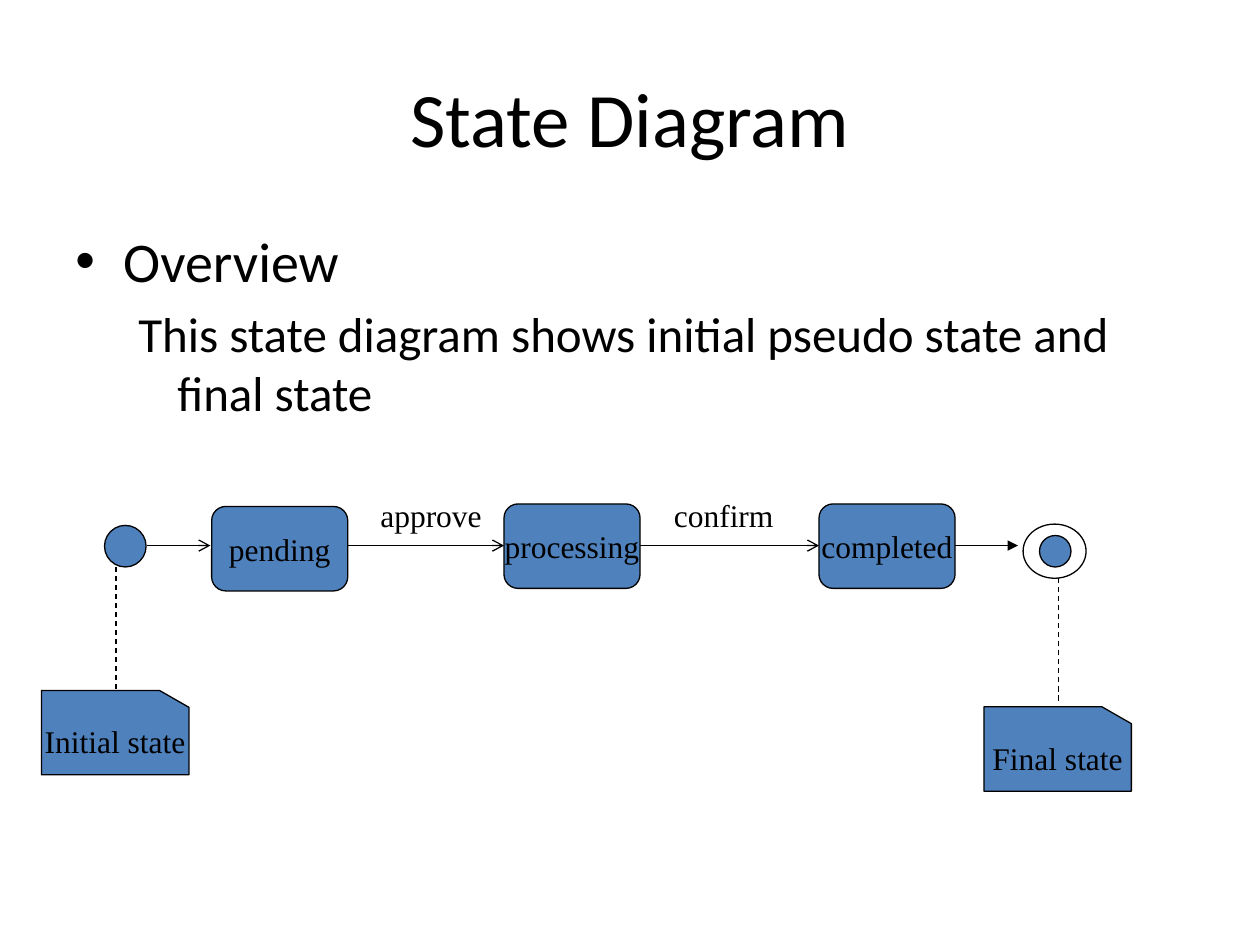
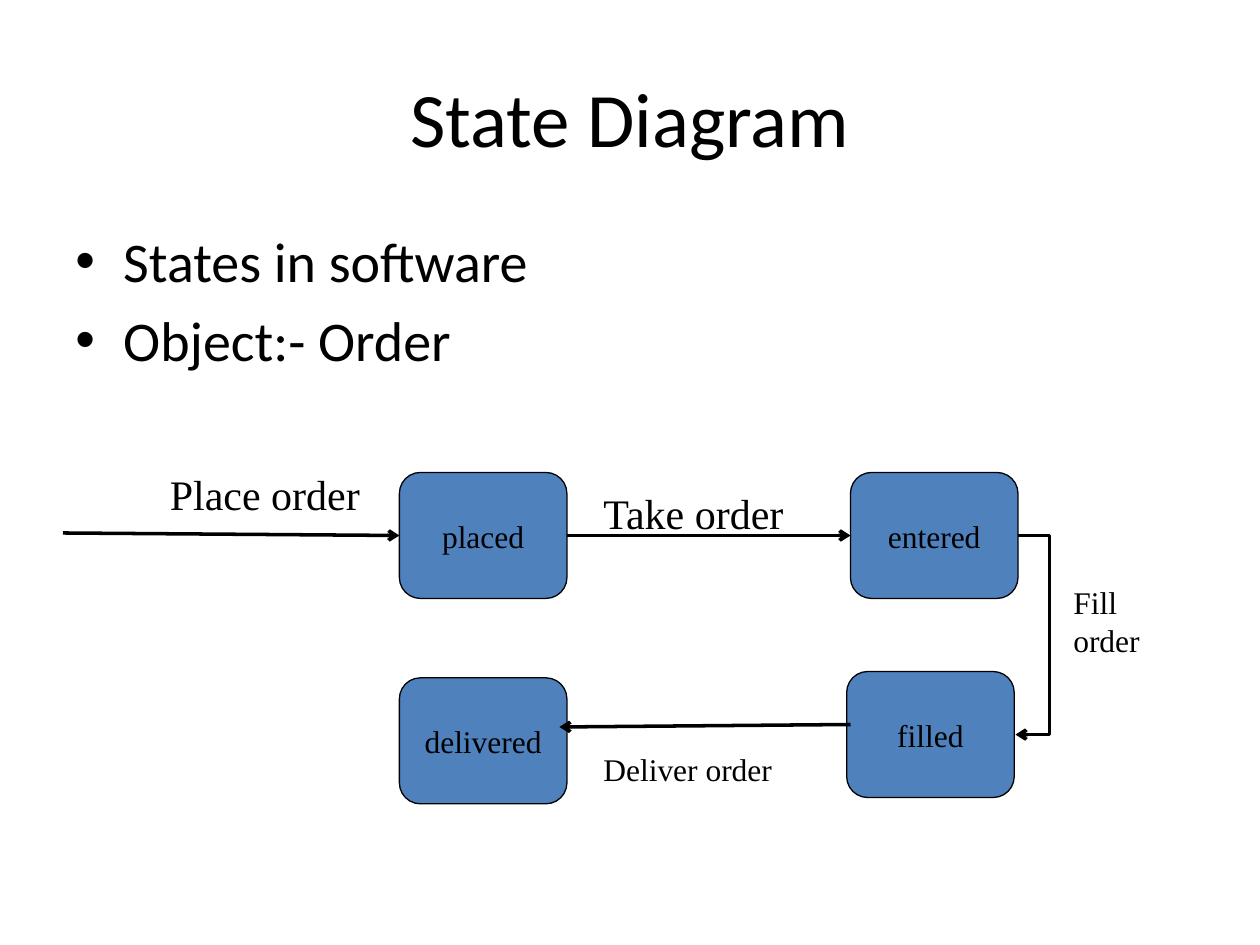
from lxml import etree
from pptx import Presentation, util as u
from pptx.dml.color import RGBColor
from pptx.enum import dml, shapes, text
from pptx.oxml import ns

INK = {"black": "000000", "blue": "4F81BD"}
SANS, SERIF = "Calibri", "Times New Roman"
KIND = shapes.MSO_SHAPE
LEFT, MID = text.PP_ALIGN.LEFT, text.PP_ALIGN.CENTER


def write(frame, words, size=18, font=SERIF, align=LEFT, wrap=True,
          anchor=text.MSO_ANCHOR.TOP, more=False):
    """Put one paragraph into a text frame and return it."""
    frame.word_wrap = wrap
    frame.vertical_anchor = anchor
    para = frame.add_paragraph() if more else frame.paragraphs[0]
    para.alignment = align
    run = para.add_run()
    run.text = words
    run.font.size = u.Pt(size)
    run.font.name = font
    run.font.color.rgb = RGBColor.from_string(INK["black"])
    return para


def link(slide, x1, y1, x2, y2, width=0.75, head="arrow", dash=False, bend=None):
    """Draw a black line; bend is the elbow's adjustment as a ratio."""
    kind = shapes.MSO_CONNECTOR.STRAIGHT if bend is None else shapes.MSO_CONNECTOR.ELBOW
    line = slide.shapes.add_connector(kind, *map(u.Inches, (x1, y1, x2, y2)))
    line.line.width = u.Pt(width)
    line.line.color.rgb = RGBColor.from_string(INK["black"])
    if dash:
        line.line.dash_style = dml.MSO_LINE.DASH
    props = line.element.spPr
    if head:
        etree.SubElement(props.find(ns.qn("a:ln")), ns.qn("a:tailEnd"), type=head)
    if bend is not None:
        guides = props.find(ns.qn("a:prstGeom")).find(ns.qn("a:avLst"))
        etree.SubElement(guides, ns.qn("a:gd"), name="adj1",
                         fmla=f"val {round(bend * 100000)}")
    etree.SubElement(props, ns.qn("a:effectLst"))


deck = Presentation()
deck.slide_width, deck.slide_height = u.Inches(10), u.Inches(7.5)

# Body lines: words, level
bodies = [
    [("Overview", 0),
     ("This state diagram shows initial pseudo state and final state", 1)],
    [("States in software", 0), ("Object:- Order", 0)],
]

# Shapes: kind, left, top, width, height, words, fill
STATE, CARD = KIND.FLOWCHART_ALTERNATE_PROCESS, KIND.FLOWCHART_CARD
nodes = [
    [(KIND.OVAL, 0.83, 4.17, 0.33, 0.33, "", "blue")]
    + [(STATE, x, y, 1.08, 0.67, name, "blue") for x, y, name in
       [(1.68, 4.02, "pending"), (4, 4, "processing"), (6.5, 4, "completed")]]
    + [(KIND.FLOWCHART_CONNECTOR, 8.25, 4.25, 0.25, 0.25, "", "blue"),
       (KIND.OVAL, 8.12, 4.16, 0.5, 0.43, "", None),
       (CARD, 0.33, 5.48, 1.17, 0.67, "Initial state", "blue"),
       (CARD, 7.81, 5.61, 1.17, 0.67, "Final state", "blue")],
    [(STATE, x, y, 1.33, 1, name, "blue") for x, y, name in
     [(3.17, 3.75, "placed"), (6.72, 5.33, "filled"),
      (6.75, 3.75, "entered"), (3.17, 5.38, "delivered")]],
]

# Event labels: words, left, top, width, height, size
labels = [
    [("approve", 2.92, 3.89, 1.08, 0.4, 18),
     ("confirm", 5.25, 3.89, 1.17, 0.4, 18)],
    [("Place order", 1.25, 3.67, 2, 0.5, 24),
     ("Take order", 4.69, 3.82, 2.14, 0.5, 24),
     ("Fill order", 8.42, 4.58, 1.1, 0.7, 18),
     ("Deliver order", 4.69, 5.9, 1.82, 0.4, 18)],
]

pages = []
for body, group, events in zip(bodies, nodes, labels):
    slide = deck.slides.add_slide(deck.slide_layouts[5])
    pages.append(slide)

    # Title
    title = slide.shapes.title
    title.left, title.top, title.width, title.height = map(u.Inches, (0.5, 0.3, 9, 1.25))
    write(title.text_frame, "State Diagram", size=44, font=SANS, align=MID,
          anchor=text.MSO_ANCHOR.MIDDLE)

    # Body text
    box = slide.shapes.add_textbox(*map(u.Inches, (0.5, 1.75, 9, 4.95)))
    for row, (words, level) in enumerate(body):
        size, left, hang = [(32, 0.38, 0.38), (28, 0.81, 0.31)][level]
        para = write(box.text_frame, words, size=size, font=SANS, more=row > 0)
        para.level = level
        para.space_before = u.Pt(size * 0.2)
        props = para._p.get_or_add_pPr()
        props.set("marL", str(u.Inches(left)))
        props.set("indent", str(-u.Inches(hang)))
        if level == 0:
            etree.SubElement(props, ns.qn("a:buFont"), typeface="Arial")
            etree.SubElement(props, ns.qn("a:buChar"), char="•")

    # States, end points and note cards
    for kind, x, y, w, h, words, fill in group:
        node = slide.shapes.add_shape(kind, *map(u.Inches, (x, y, w, h)))
        node.shadow.inherit = False
        node.line.width = u.Pt(0.75)
        node.line.color.rgb = RGBColor.from_string(INK["black"])
        if fill:
            node.fill.solid()
            node.fill.fore_color.rgb = RGBColor.from_string(INK[fill])
        else:
            node.fill.background()
        if kind == CARD:
            node.element.spPr.find(ns.qn("a:xfrm")).set("flipH", "1")
        if words:
            write(node.text_frame, words, align=MID, wrap=False,
                  anchor=text.MSO_ANCHOR.MIDDLE)

    # Event labels
    for words, x, y, w, h, size in events:
        tag = slide.shapes.add_textbox(*map(u.Inches, (x, y, w, h)))
        write(tag.text_frame, words, size=size)

first, last = pages

# Pseudo state flow
for x1, x2 in [(1.17, 1.67), (2.75, 4), (5.08, 6.5)]:
    link(first, x1, 4.33, x2, 4.33)
link(first, 7.58, 4.33, 8.08, 4.33, head="triangle")
for x, y in [(0.92, 4.47), (8.4, 4.56)]:
    link(first, x, y + 1, x, y, head=None, dash=True)

# Order flow
for ends in [(0.5, 4.23, 3.17, 4.25), (4.5, 4.25, 6.75, 4.25), (6.75, 5.75, 4.44, 5.77)]:
    link(last, *ends, width=2)
link(last, 8.08, 4.25, 8.06, 5.83, width=2, bend=-12.5)

deck.save("out.pptx")
